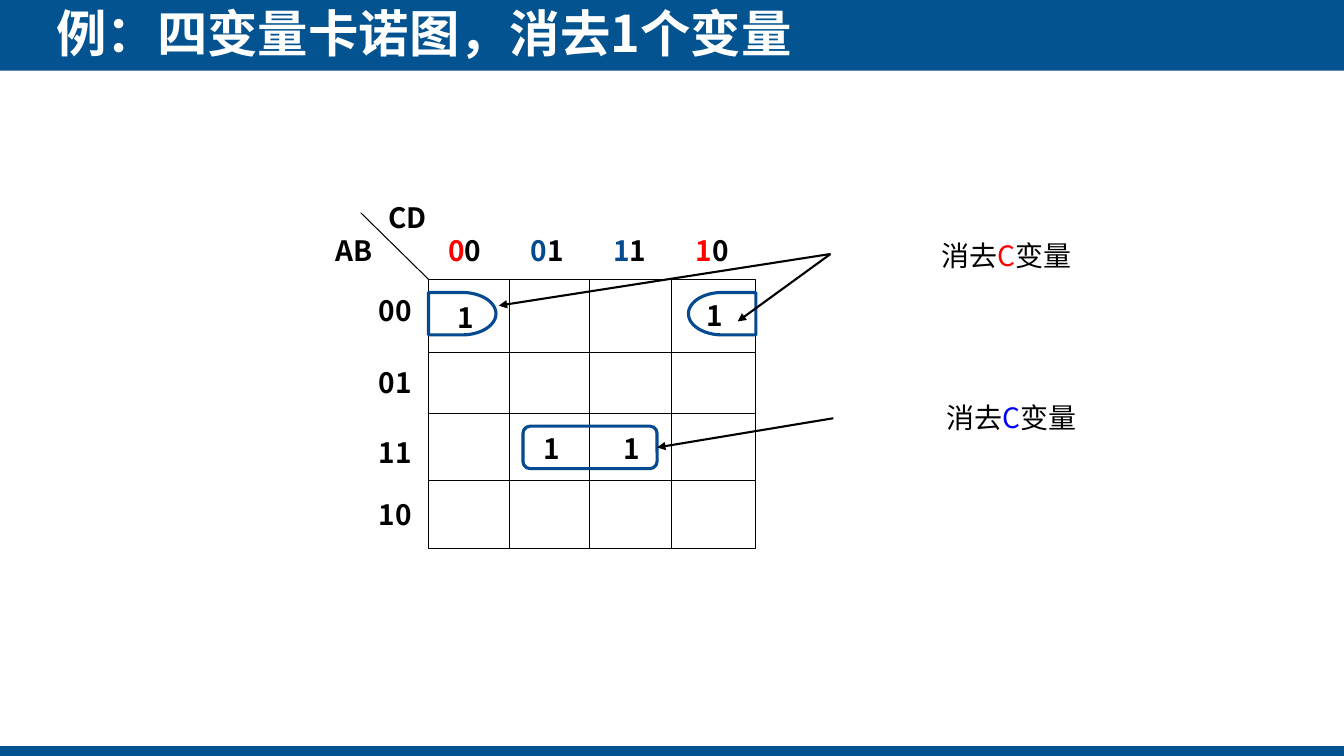
from dataclasses import dataclass

from lxml.etree import SubElement
from pptx import Presentation
from pptx.dml.color import RGBColor
from pptx.enum.shapes import MSO_CONNECTOR, MSO_SHAPE
from pptx.enum.text import MSO_ANCHOR, MSO_AUTO_SIZE, PP_ALIGN
from pptx.oxml.ns import qn
from pptx.shapes.autoshape import Shape
from pptx.shapes.connector import Connector
from pptx.slide import Slide
from pptx.text.text import TextFrame
from pptx.util import Cm, Pt

FONT = "Noto Sans CJK SC"
COLORS = {
    "bar": "035390",
    "group": "034A90",
    "black": "000000",
    "white": "FFFFFF",
    "red": "FF0000",
    "blue": "0000FF",
}
COLUMN_EDGES = [10.8, 12.85, 14.86, 16.92, 19.05]
ROW_EDGES = [7.04, 8.89, 10.43, 12.12, 13.82]
LEFT, RIGHT = COLUMN_EDGES[0], COLUMN_EDGES[-1]
TOP, BOTTOM = ROW_EDGES[0], ROW_EDGES[-1]
LABEL_HEIGHT = 1.12


@dataclass
class Run:
    text: str
    color: str = "black"


@dataclass
class Label:
    left: float
    top: float
    width: float
    runs: list[Run]
    bold: bool = True
    wrap: bool = False


@dataclass
class Outline:
    preset: MSO_SHAPE
    left: float
    top: float
    width: float
    height: float
    color: str = "group"
    weight: float = 2.25
    flipped: bool = False


@dataclass
class Line:
    start: tuple[float, float]
    end: tuple[float, float]
    weight: float = 0.75
    arrow: bool = False


def rgb(name: str) -> RGBColor:
    return RGBColor.from_string(COLORS[name])


def write_runs(frame: TextFrame, runs: list[Run], size: float, bold: bool,
               alignment: PP_ALIGN) -> None:
    paragraph = frame.paragraphs[0]
    paragraph.alignment = alignment
    for item in runs:
        run = paragraph.add_run()
        run.text = item.text
        for attribute, value in {"name": FONT, "size": Pt(size), "bold": bold}.items():
            setattr(run.font, attribute, value)
        run.font.color.rgb = rgb(item.color)
        SubElement(run.font._element, qn("a:ea"), typeface=FONT)


def add_label(slide: Slide, label: Label) -> None:
    box = slide.shapes.add_textbox(Cm(label.left), Cm(label.top), Cm(label.width), Cm(LABEL_HEIGHT))
    frame = box.text_frame
    frame.word_wrap = label.wrap
    frame.auto_size = MSO_AUTO_SIZE.SHAPE_TO_FIT_TEXT
    alignment = PP_ALIGN.CENTER if label.wrap else PP_ALIGN.LEFT
    write_runs(frame, label.runs, 20, label.bold, alignment)


def add_outline(slide: Slide, outline: Outline) -> Shape:
    shape = slide.shapes.add_shape(outline.preset, Cm(outline.left), Cm(outline.top),
                                   Cm(outline.width), Cm(outline.height))
    shape.shadow.inherit = False
    shape.fill.background()
    shape.line.color.rgb = rgb(outline.color)
    shape.line.width = Pt(outline.weight)
    if outline.flipped:
        shape._element.spPr.find(qn("a:xfrm")).set("flipH", "1")
    return shape


def add_line(slide: Slide, line: Line) -> Connector:
    connector = slide.shapes.add_connector(
        MSO_CONNECTOR.STRAIGHT, *(Cm(value) for value in line.start + line.end))
    connector.line.color.rgb = rgb("black")
    connector.line.width = Pt(line.weight)
    if line.arrow:
        SubElement(connector.line._get_or_add_ln(), qn("a:tailEnd"), type="triangle")
    SubElement(connector._element.spPr, qn("a:effectLst"))
    return connector


def add_title(slide: Slide, text: str) -> None:
    """Fill the title placeholder and lay the two page bars behind it."""
    title = slide.shapes.title
    position = {"left": 1.42, "top": 0.05, "width": 21.77, "height": 1.55}
    for attribute, value in position.items():
        setattr(title, attribute, Cm(value))
    frame = title.text_frame
    frame_format = {"margin_left": 0, "margin_right": 0, "margin_top": 0, "margin_bottom": 0,
                    "word_wrap": True, "auto_size": MSO_AUTO_SIZE.NONE,
                    "vertical_anchor": MSO_ANCHOR.MIDDLE}
    for attribute, value in frame_format.items():
        setattr(frame, attribute, value)
    write_runs(frame, [Run(text, "white")], 36, True, PP_ALIGN.LEFT)
    for top, height in [(-0.08, 1.86), (18.8, 0.25)]:
        bar = slide.shapes.add_shape(MSO_SHAPE.RECTANGLE, 0, Cm(top), Cm(33.87), Cm(height))
        bar.shadow.inherit = False
        bar.fill.solid()
        bar.fill.fore_color.rgb = rgb("bar")
        bar.line.fill.background()
        title._element.addprevious(bar._element)


def add_grid(slide: Slide) -> None:
    frame = add_outline(slide, Outline(MSO_SHAPE.RECTANGLE, LEFT, TOP, RIGHT - LEFT,
                                       BOTTOM - TOP, "black", 0.75))
    for x in COLUMN_EDGES[1:-1]:
        add_line(slide, Line((x, TOP), (x, BOTTOM)))
    rows = [add_line(slide, Line((LEFT, y), (RIGHT, y))) for y in ROW_EDGES[1:-1]]
    rows[1].begin_connect(frame, 1)
    rows[1].end_connect(frame, 3)
    add_line(slide, Line((LEFT, TOP), (9.09, 5.36)))


def add_labels(slide: Slide) -> None:
    labels = [Label(8.2, 5.77, 1.52, [Run("AB")]), Label(9.53, 4.93, 1.55, [Run("CD")])]
    for code, top in zip(["00", "01", "11", "10"], [7.26, 9.09, 10.85, 12.4]):
        labels.append(Label(9.3, top, 1.4, [Run(code)]))
    headings = [("00", "red"), ("01", "group"), ("11", "group"), ("10", "red")]
    for column, (code, color) in enumerate(headings):
        labels.append(Label(11.05 + 2.08 * column, 5.77, 1.4, [Run(code[0], color), Run(code[1])]))
    for left, top in [(11.28, 7.44), (17.55, 7.39), (13.44, 10.74), (15.47, 10.74)]:
        labels.append(Label(left, top, 0.97, [Run("1")]))
    for top, width, color in [(5.89, 4.17, "red"), (9.96, 4.39, "blue")]:
        runs = [Run("消去"), Run("C", color), Run("变量")]
        labels.append(Label(23.29, top, width, runs, bold=False, wrap=True))
    for label in labels:
        add_label(slide, label)


def add_groups(slide: Slide) -> None:
    """Outline the merged cells and point the notes' arrows at them."""
    pair = add_outline(slide, Outline(MSO_SHAPE.ROUNDED_RECTANGLE, 13.18, 10.74, 3.38, 1.07))
    for left, flipped in [(LEFT, False), (RIGHT - 1.7, True)]:
        add_outline(slide, Outline(MSO_SHAPE.FLOWCHART_DELAY, left, 7.37, 1.7, 1.07,
                                   flipped=flipped))
    pair_arrow = add_line(slide, Line((21.0, 10.54), (16.56, 11.28), 1.5, True))
    pair_arrow.end_connect(pair, 3)
    for target in [(18.59, 8.1), (12.57, 7.7)]:
        add_line(slide, Line((20.93, 6.4), target, 1.5, True))


def main() -> None:
    presentation = Presentation()
    presentation.slide_width, presentation.slide_height = Cm(33.87), Cm(19.05)
    slide = presentation.slides.add_slide(presentation.slide_layouts.get_by_name("Title Only"))
    add_title(slide, "例：四变量卡诺图，消去1个变量")
    add_grid(slide)
    add_labels(slide)
    add_groups(slide)
    presentation.save("out.pptx")


if __name__ == "__main__":
    main()
